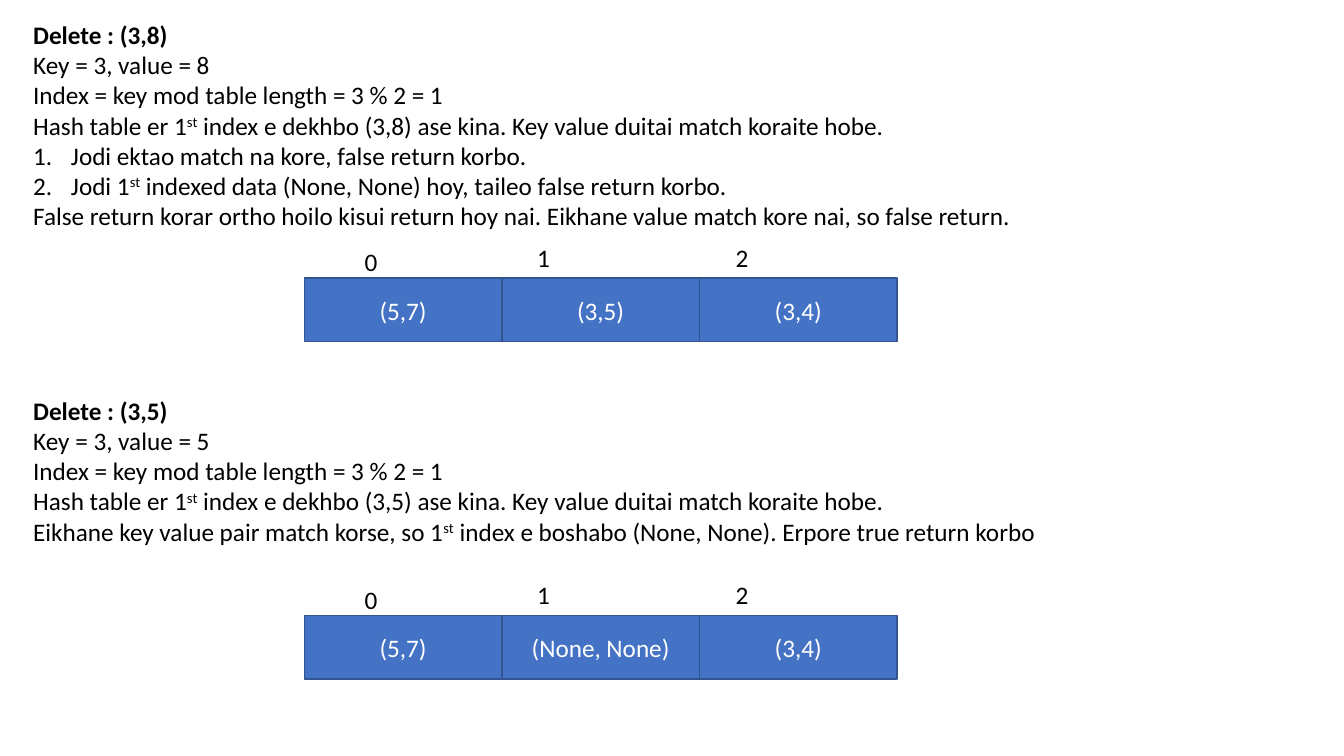
from lxml import etree
from pptx import Presentation
from pptx.dml.color import RGBColor as RGB
from pptx.enum.shapes import MSO_SHAPE as Shape
from pptx.enum.text import MSO_ANCHOR as Anchor, MSO_AUTO_SIZE as Auto, PP_ALIGN as Align
from pptx.oxml.ns import qn
from pptx.util import Pt

BLACK = RGB(0x00, 0x00, 0x00)
WHITE = RGB(0xFF, 0xFF, 0xFF)
BLUE = RGB(0x44, 0x72, 0xC4)
EDGE = RGB(0x32, 0x54, 0x91)

CELL_X, CELL_W, CELL_H = 217.4, 141.1, 45.4
LABELS = [(253.4, 26.2), (376.6, 29.1), (518.4, 29.1)]

STEPS = [
    (10.1, 159.8, 198.7, ["(5,7)", "(3,5)", "(3,4)"], [
        "Delete : (3,8)",
        "Key = 3, value = 8",
        "Index = key mod table length = 3 % 2 = 1",
        "Hash table er 1^st^ index e dekhbo (3,8) ase kina. Key value duitai match koraite hobe.",
        "#Jodi ektao match na kore, false return korbo.",
        "#Jodi 1^st^ indexed data (None, None) hoy, taileo false return korbo.",
        "False return korar ortho hoilo kisui return hoy nai. "
        "Eikhane value match kore nai, so false return.",
    ]),
    (278.6, 116.6, 439.7, ["(5,7)", "(None, None)", "(3,4)"], [
        "Delete : (3,5)",
        "Key = 3, value = 5",
        "Index = key mod table length = 3 % 2 = 1",
        "Hash table er 1^st^ index e dekhbo (3,5) ase kina. Key value duitai match koraite hobe.",
        "Eikhane key value pair match korse, so 1^st^ index e boshabo (None, None). "
        "Erpore true return korbo",
    ]),
]


def style(para, color):
    para.font.name = "Calibri"
    para.font.size = Pt(18)
    para.font.color.rgb = color


def add_text(x, y, w, h):
    box = slide.shapes.add_textbox(Pt(x), Pt(y), Pt(w), Pt(h))
    box.text_frame.word_wrap = True
    box.text_frame.auto_size = Auto.SHAPE_TO_FIT_TEXT
    return box.text_frame


deck = Presentation()
deck.slide_width, deck.slide_height = Pt(960), Pt(540)
slide = deck.slides.add_slide(deck.slide_layouts[6])

for top, height, row_y, pairs, lines in STEPS:
    frame = add_text(16.6, top, 927.4, height)
    for i, line in enumerate(lines):
        para = frame.paragraphs[0] if i == 0 else frame.add_paragraph()
        style(para, BLACK)
        if line.startswith("#"):
            props = para._p.get_or_add_pPr()
            props.set("marL", str(Pt(27)))
            props.set("indent", str(-Pt(27)))
            mark = etree.Element(qn("a:buAutoNum"), type="arabicPeriod")
            props.insert(0, mark)
        for j, part in enumerate(line.lstrip("#").split("^")):
            run = para.add_run()
            run.text = part
            if i == 0:
                run.font.bold = True
            if j % 2:
                run._r.get_or_add_rPr().set("baseline", "30000")

    for i, pair in enumerate(pairs):
        cell = slide.shapes.add_shape(
            Shape.RECTANGLE, Pt(CELL_X + i * CELL_W), Pt(row_y), Pt(CELL_W), Pt(CELL_H))
        cell.shadow.inherit = False
        cell.fill.solid()
        cell.fill.fore_color.rgb = BLUE
        cell.line.color.rgb = EDGE
        cell.line.width = Pt(1)
        cell.text_frame.vertical_anchor = Anchor.MIDDLE
        para = cell.text_frame.paragraphs[0]
        para.text = pair
        para.alignment = Align.CENTER
        style(para, WHITE)

    for i, (x, rise) in enumerate(LABELS):
        para = add_text(x, row_y - rise, 75.6, 29).paragraphs[0]
        para.text = str(i)
        style(para, BLACK)

deck.save("out.pptx")
